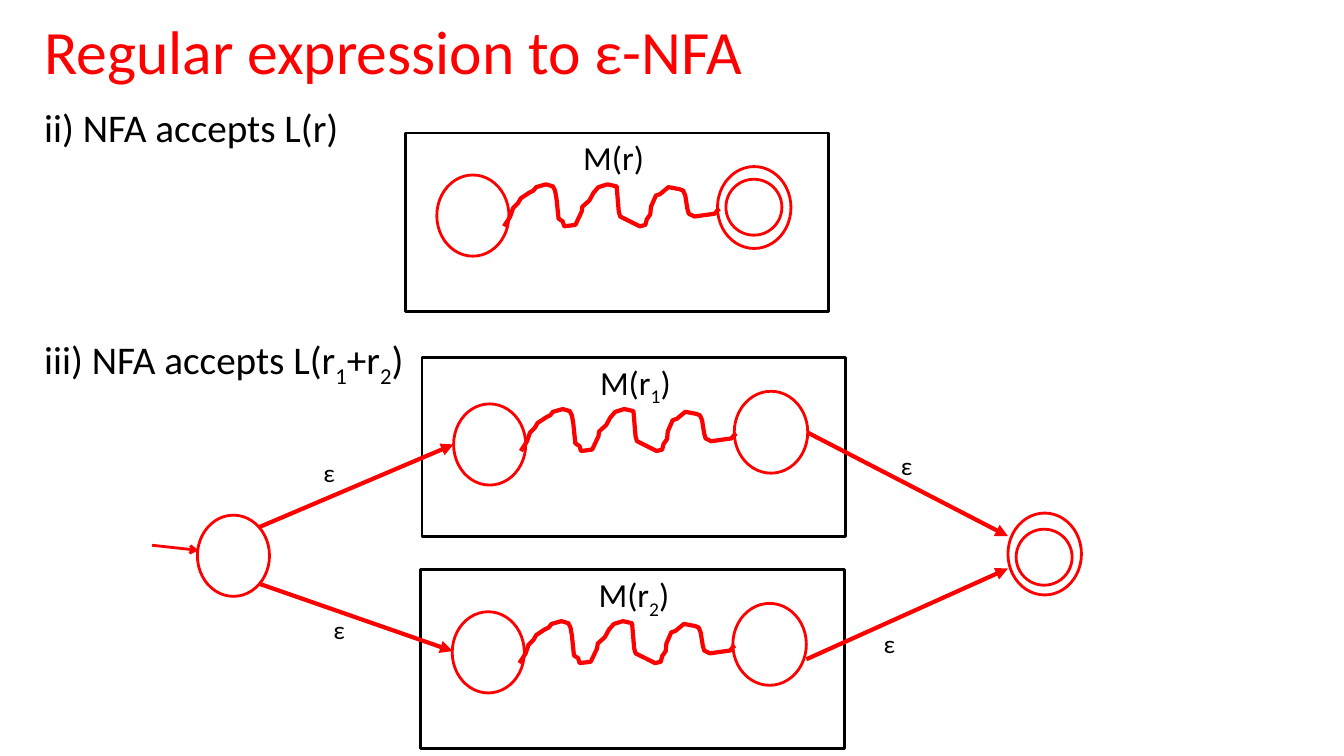
from lxml.etree import SubElement
from pptx import Presentation
from pptx.dml.color import RGBColor
from pptx.enum.shapes import MSO_CONNECTOR, MSO_SHAPE
from pptx.enum.text import MSO_ANCHOR
from pptx.oxml.ns import qn
from pptx.util import Pt

COLORS = {"red": "FF0000", "black": "000000"}
FONT = "Calibri"

# Content: an underscore makes the next character a subscript
TITLE = "Regular expression to ε-NFA"
CASES = ["ii) NFA accepts L(r)", "iii) NFA accepts L(r_1+r_2)"]
CASE_GAP = 132.3

# Machines: label, box left, box top, drop of start state, has accepting ring
MACHINES = [
    ("M(r)", 289.5, 95, 30, True),
    ("M(r_1)", 301.5, 255.5, 33, False),
    ("M(r_2)", 300.5, 407, 30, False),
]
BOX = (302.5, 127.5)
START = (51.5, 58)
END = (52.5, 58.5)
RING = (40, 40)

# Wavy path from start to end state, relative to its own corner
WAVE = [
    (0, 30), (4.5, 23), (6.5, 17), (10, 13.5), (12, 10), (18, 6), (21, 4.5),
    (23, 2), (30, 0), (35, 1.5), (36.5, 4.5), (37.5, 10), (39, 24.5),
    (42, 26.5), (43, 30), (51, 29), (55.5, 19.5), (56, 16), (61, 11.5),
    (64, 6), (67.5, 2), (74, 0), (80.5, 1.5), (82, 19.5), (83, 23),
    (90, 26.5), (97, 30), (101, 29), (102, 25), (104.5, 21.5), (105, 16),
    (108.5, 8), (111.5, 7), (117.5, 2), (125.5, 3.5), (128, 4.5), (129.5, 8),
    (131, 17.5), (132, 21), (136, 23), (150.5, 21), (152.5, 18.5), (154, 17.5),
]

# Outer states: left, top, size
OUTER_STATES = [(725.8, 378, RING), (720, 366.5, END), (141, 368, START)]

# Arrows: x1, y1, x2, y2, width, head
ARROWS = [
    (108.7, 389.5, 141.8, 393.1, 2, "arrow"),
    (185, 376.6, 324, 317.5, 3, "triangle"),
    (185, 416.9, 323.3, 465.1, 3, "triangle"),
    (576.7, 308.9, 720, 383, 3, "triangle"),
    (576, 470.9, 720, 406.1, 3, "triangle"),
]
EPSILONS = [(223.9, 323.3), (231.1, 434.9), (624.2, 445), (636.5, 318.2)]


def style_line(s, color, width):
    s.line.color.rgb = RGBColor.from_string(COLORS[color])
    s.line.width = Pt(width)


def add_runs(p, text, size=28, color="black", spacing=None, before=0):
    p.line_spacing = spacing
    p.space_before = Pt(before)
    first, *rest = text.split("_")
    pieces = [(first, False)]
    for part in rest:
        pieces += [(part[0], True), (part[1:], False)]
    for piece, lowered in pieces:
        r = p.add_run()
        r.text = piece
        r.font.name = FONT
        r.font.size = Pt(size)
        r.font.color.rgb = RGBColor.from_string(COLORS[color])
        if lowered:
            r.font._element.set("baseline", "-25000")


def add_text(text, x, y, w, h, anchor=MSO_ANCHOR.TOP, **fmt):
    tf = sl.shapes.add_textbox(Pt(x), Pt(y), Pt(w), Pt(h)).text_frame
    tf.word_wrap = True
    tf.vertical_anchor = anchor
    add_runs(tf.paragraphs[0], text, **fmt)
    return tf


def add_outline(kind, x, y, size, color="red"):
    s = sl.shapes.add_shape(kind, Pt(x), Pt(y), Pt(size[0]), Pt(size[1]))
    s.shadow.inherit = False
    s.fill.background()
    style_line(s, color, 2)


def add_wave(x, y):
    points = [(Pt(x + dx), Pt(y + dy)) for dx, dy in WAVE]
    fb = sl.shapes.build_freeform(*points[0])
    fb.add_line_segments(points[1:], close=False)
    s = fb.convert_to_shape()
    s.shadow.inherit = False
    s.fill.background()
    style_line(s, "red", 3)


def add_machine(label, x, y, drop, accepting):
    add_outline(MSO_SHAPE.RECTANGLE, x, y, BOX, "black")
    add_outline(MSO_SHAPE.OVAL, x + 22.5, y + drop, START)
    add_outline(MSO_SHAPE.OVAL, x + 223, y + 24, END)
    if accepting:
        add_outline(MSO_SHAPE.OVAL, x + 229, y + 33, RING)
    add_wave(x + 70.5, y + 36.7)
    add_text(label, x + 120, y - 0.5, 73.5, 36, size=24)


def add_arrow(x1, y1, x2, y2, width, head):
    s = sl.shapes.add_connector(
        MSO_CONNECTOR.STRAIGHT, Pt(x1), Pt(y1), Pt(x2), Pt(y2))
    style_line(s, "red", width)
    SubElement(s.line._get_or_add_ln(), qn("a:tailEnd"), type=head)
    SubElement(s._element.spPr, qn("a:effectLst"))


prs = Presentation()
prs.slide_width, prs.slide_height = Pt(960), Pt(540)
sl = prs.slides.add_slide(prs.slide_layouts[6])

# Title and the two cases
add_text(TITLE, 24.5, 4.3, 911, 69, MSO_ANCHOR.MIDDLE,
         size=44, color="red", spacing=0.9)
tf = add_text(CASES[0], 24.5, 74.2, 911, 465.8, spacing=0.9)
add_runs(tf.add_paragraph(), CASES[1], spacing=0.9, before=CASE_GAP)

# Machines in their boxes
for machine in MACHINES:
    add_machine(*machine)

# Outer states, arrows and their ε labels
for x, y, size in OUTER_STATES:
    add_outline(MSO_SHAPE.OVAL, x, y, size)
for arrow in ARROWS:
    add_arrow(*arrow)
for x, y in EPSILONS:
    add_text("ε", x, y, 30, 29, size=18)

prs.save("out.pptx")
